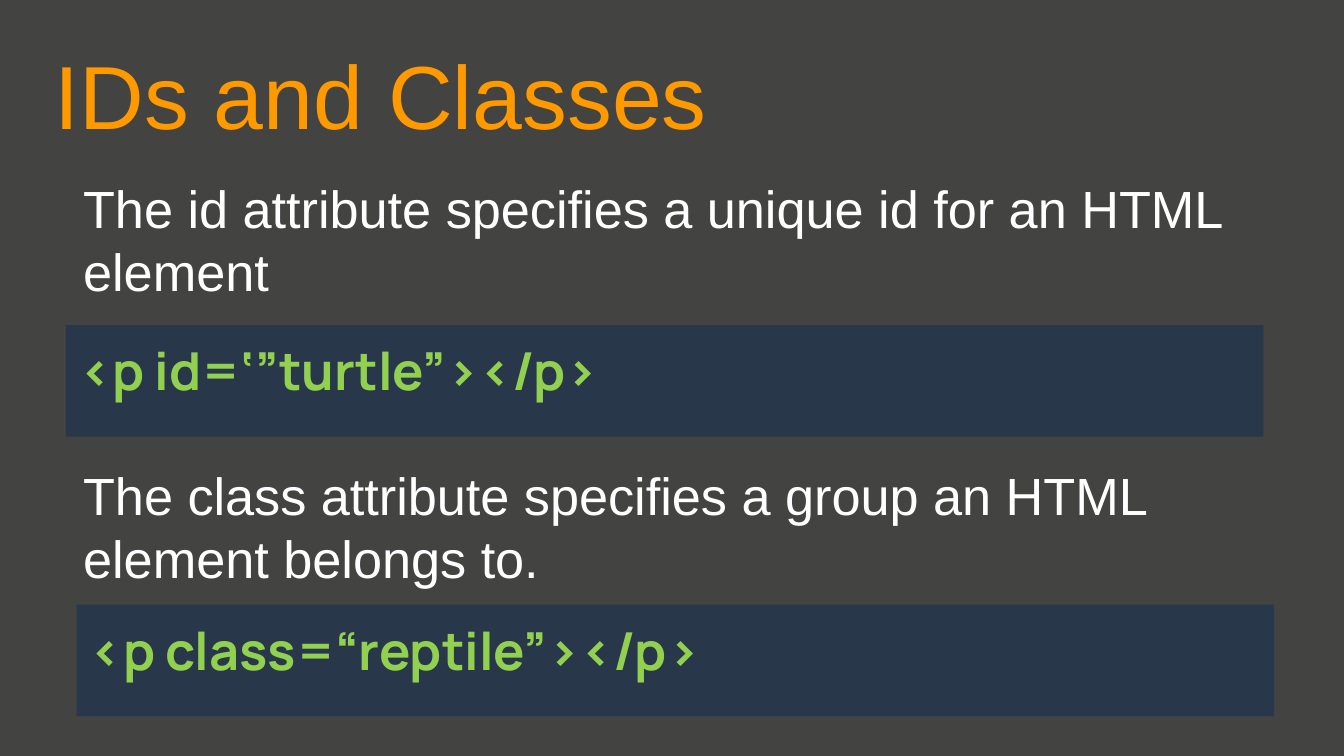
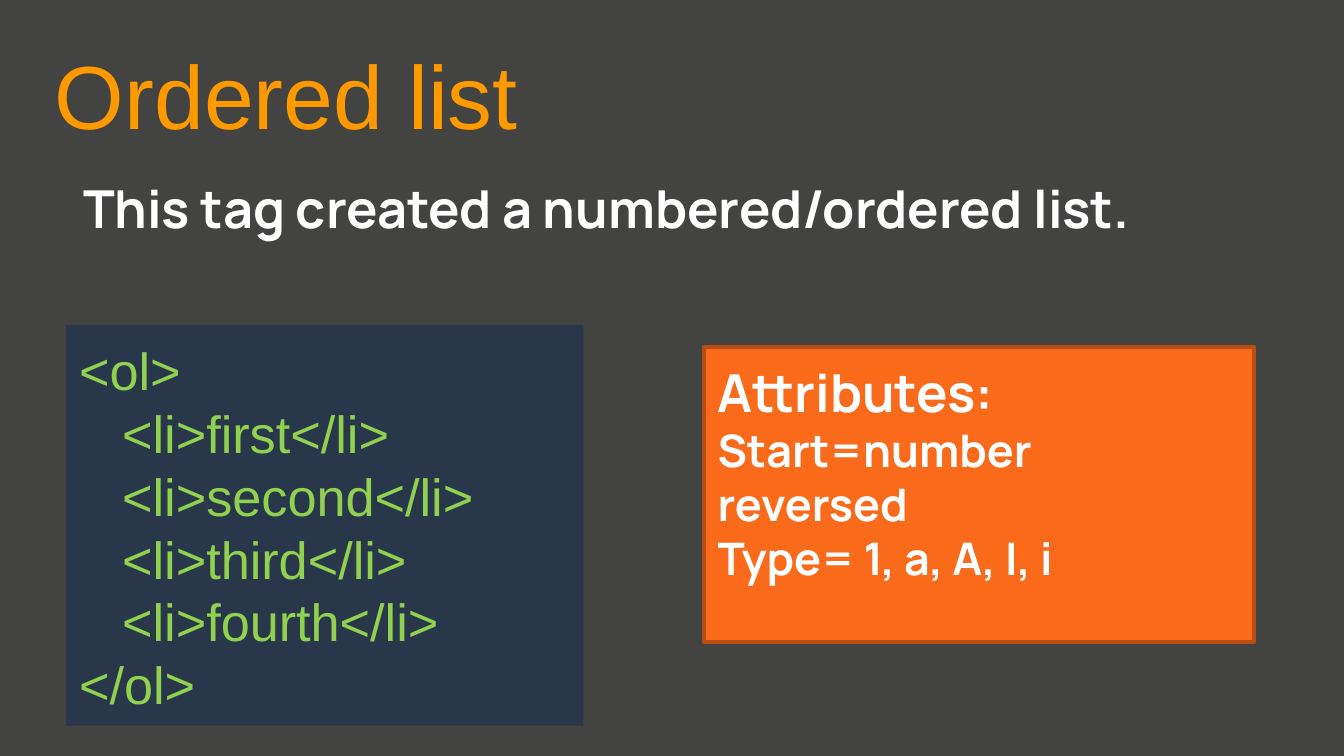
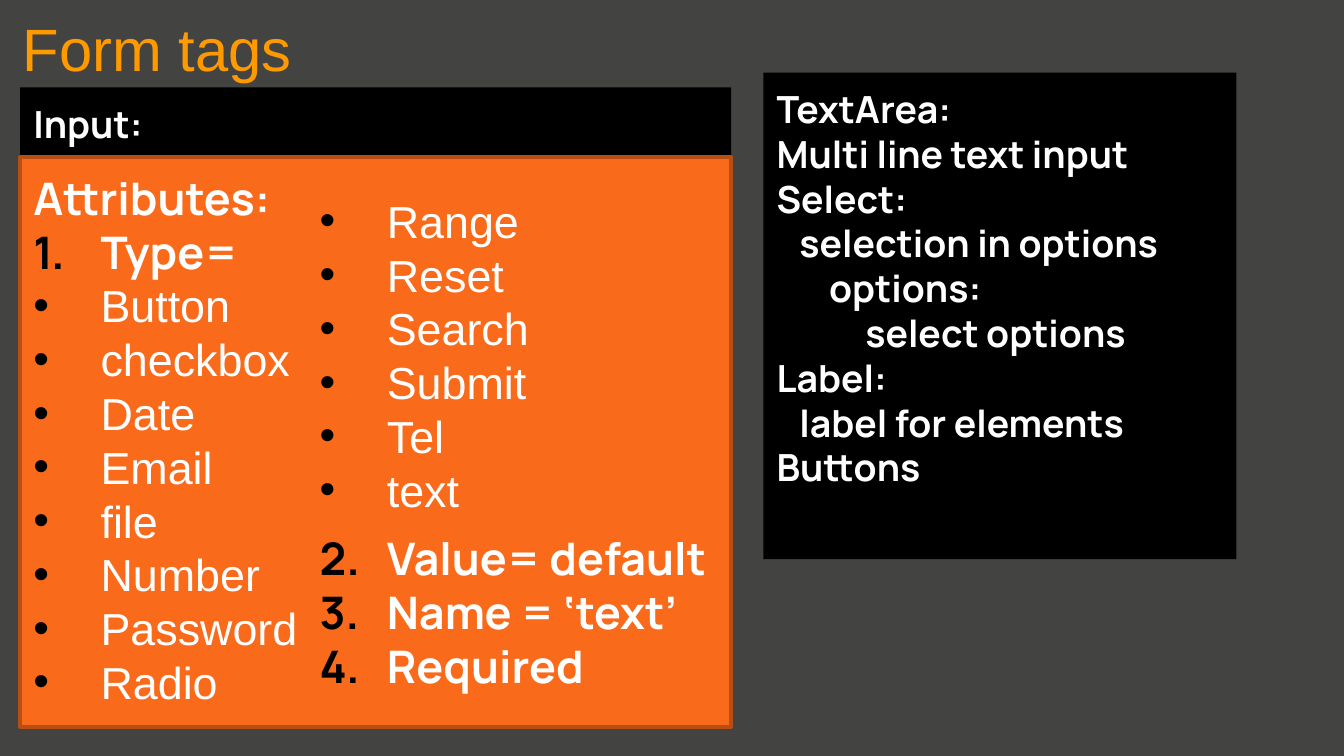
from lxml.etree import SubElement
from pptx import Presentation
from pptx.dml.color import RGBColor
from pptx.enum.shapes import MSO_SHAPE
from pptx.enum.text import MSO_ANCHOR, PP_ALIGN
from pptx.oxml.ns import qn
from pptx.util import Inches, Pt

BACKDROP = "434342"
TITLE = "FF9900"
WHITE = "FFFFFF"
BLACK = "000000"
CODE = "92D050"
CODE_PANEL = "28374A"
ORANGE = "F96A1B"
ORANGE_EDGE = "B84E14"

PLAIN = {"font": "Arial"}
STRONG = {"font": "Manrope", "bold": True}
HANG = 0.5
BOX_HEIGHT = 4.19
LIST_LEFT, LIST_WIDTH = 2.28, 4.09


def rgb(value):
    return RGBColor.from_string(value)


def add_slide(deck):
    slide = deck.slides.add_slide(deck.slide_layouts[6])
    slide.background.fill.solid()
    slide.background.fill.fore_color.rgb = rgb(BACKDROP)
    return slide


def prepare_frame(shape):
    frame = shape.text_frame
    frame.word_wrap = True
    frame.vertical_anchor = MSO_ANCHOR.TOP
    frame.margin_left = frame.margin_right = Inches(0.1)
    frame.margin_top = frame.margin_bottom = Inches(0.1)
    return frame


def add_box(slide, left, top, width, height=BOX_HEIGHT):
    """Add an empty text box and return its text frame."""
    return prepare_frame(slide.shapes.add_textbox(
        Inches(left), Inches(top), Inches(width), Inches(height)))


def add_panel(slide, left, top, width, height, fill, edge=None):
    """Add a filled rectangle and return its text frame."""
    panel = slide.shapes.add_shape(
        MSO_SHAPE.RECTANGLE,
        Inches(left), Inches(top), Inches(width), Inches(height))
    panel.shadow.inherit = False
    panel.fill.solid()
    panel.fill.fore_color.rgb = rgb(fill)
    if edge:
        panel.line.color.rgb = rgb(edge)
        panel.line.width = Pt(2)
    else:
        panel.line.fill.background()
    return prepare_frame(panel)


def set_marker(paragraph, start=None):
    """Hang a black bullet, or a number when start is given."""
    properties = paragraph._p.get_or_add_pPr()
    properties.set("indent", str(-Inches(HANG)))
    tint = SubElement(properties, qn("a:buClr"))
    SubElement(tint, qn("a:srgbClr"), val=BLACK)
    if start is None:
        SubElement(properties, qn("a:buFont"), typeface="Arial")
        SubElement(properties, qn("a:buChar"), char="•")
    else:
        SubElement(properties, qn("a:buFont"), typeface="Manrope")
        SubElement(properties, qn("a:buAutoNum"), type="arabicPeriod",
                   startAt=str(start))


def write(frame, *lines, size, font, bold=False, color=WHITE, indent=0,
          bullet=False, start=None, level=0):
    """Append one paragraph per line of text, all in the same format."""
    for text in lines:
        first = frame.paragraphs[0]
        paragraph = frame.add_paragraph() if first.runs else first
        paragraph.alignment = PP_ALIGN.LEFT
        paragraph.level = level
        marked = bullet or start is not None
        margin = HANG if marked else indent
        paragraph._p.get_or_add_pPr().set("marL", str(Inches(margin)))
        if marked:
            set_marker(paragraph, start)
        run = paragraph.add_run()
        run.text = text
        run.font.size = Pt(size)
        run.font.name = font
        run.font.bold = bold
        run.font.color.rgb = rgb(color)


def add_title(slide, text, left=0.31, top=0.2, size=48):
    write(add_box(slide, left, top, 9.44), text, size=size, color=TITLE, **PLAIN)


def build_ids_and_classes(deck):
    slide = add_slide(deck)
    (id_topic, class_topic) = [
        (1.21, "The id attribute specifies a unique id for an HTML element",
         0.49, 2.42, "<p id=‘”turtle”></p>"),
        (3.35, "The class attribute specifies a group an HTML element belongs to.",
         0.57, 4.5, "<p class=“reptile”></p>"),
    ]

    def add_meaning(top, meaning):
        write(add_box(slide, 0.52, top, 8.69), meaning, size=28, **PLAIN)

    def add_code(left, top, code):
        write(add_panel(slide, left, top, 8.91, 0.83, CODE_PANEL),
              code, size=28, color=CODE, **STRONG)

    add_meaning(*id_topic[:2])
    add_title(slide, "IDs and Classes")
    add_code(*id_topic[2:])
    add_meaning(*class_topic[:2])
    add_code(*class_topic[2:])


def build_ordered_list(deck):
    slide = add_slide(deck)
    write(add_box(slide, 0.52, 1.21, 8.63),
          "This tag created a numbered/ordered list.", size=28, **STRONG)
    add_title(slide, "Ordered list")

    code = add_panel(slide, 0.49, 2.42, 3.85, 2.98, CODE_PANEL)
    style = {"size": 28, "color": CODE, **PLAIN}
    write(code, "<ol>", **style)
    write(code, *[f"<li>{item}</li>"
                  for item in ("first", "second", "third", "fourth")],
          indent=0.32, **style)
    write(code, "</ol>", **style)

    attributes = add_panel(slide, 5.24, 2.58, 4.09, 2.2, ORANGE, ORANGE_EDGE)
    write(attributes, "Attributes:", size=28, **STRONG)
    write(attributes, "Start=number", "reversed", "Type= 1, a, A, I, i",
          size=24, **STRONG)


def build_form_tags(deck):
    slide = add_slide(deck)
    write(add_panel(slide, 0.15, 0.65, 5.29, 0.8, BLACK),
          "Input:", size=20, **STRONG)
    add_title(slide, "Form tags", left=0.07, top=-0.01, size=32)

    attributes = add_panel(slide, 0.15, 1.17, 5.29, 4.24, ORANGE, ORANGE_EDGE)
    write(attributes, "Attributes:", size=24, **STRONG)
    write(attributes, "Type=", size=24, start=1, **STRONG)
    write(attributes, "Button", "checkbox", "Date", "Email", "file", "Number",
          "Password", "Radio", size=24, bullet=True, **PLAIN)

    write(add_box(slide, LIST_LEFT, 1.34, LIST_WIDTH, 2.51),
          "Range", "Reset", "Search", "Submit", "Tel", "text",
          size=24, bullet=True, **PLAIN)
    write(add_box(slide, LIST_LEFT, 3.85, LIST_WIDTH, 1.55),
          "Value= default", "Name = ‘text’", "Required",
          size=24, start=2, level=1, **STRONG)

    other_tags = add_panel(slide, 5.68, 0.54, 3.52, 3.62, BLACK)
    for text, indent in [
        ("TextArea:", 0), ("Multi line text input", 0),
        ("Select:", 0), ("selection in options", 0.17),
        ("options:", 0.39), ("select options", 0.66),
        ("Label:", 0), ("label for elements", 0.17),
        ("Buttons", 0),
    ]:
        write(other_tags, text, size=20, indent=indent, **STRONG)


def main():
    deck = Presentation()
    deck.slide_width = Inches(10)
    deck.slide_height = deck.slide_width * 9 // 16
    build_ids_and_classes(deck)
    build_ordered_list(deck)
    build_form_tags(deck)
    deck.save("out.pptx")


if __name__ == "__main__":
    main()
